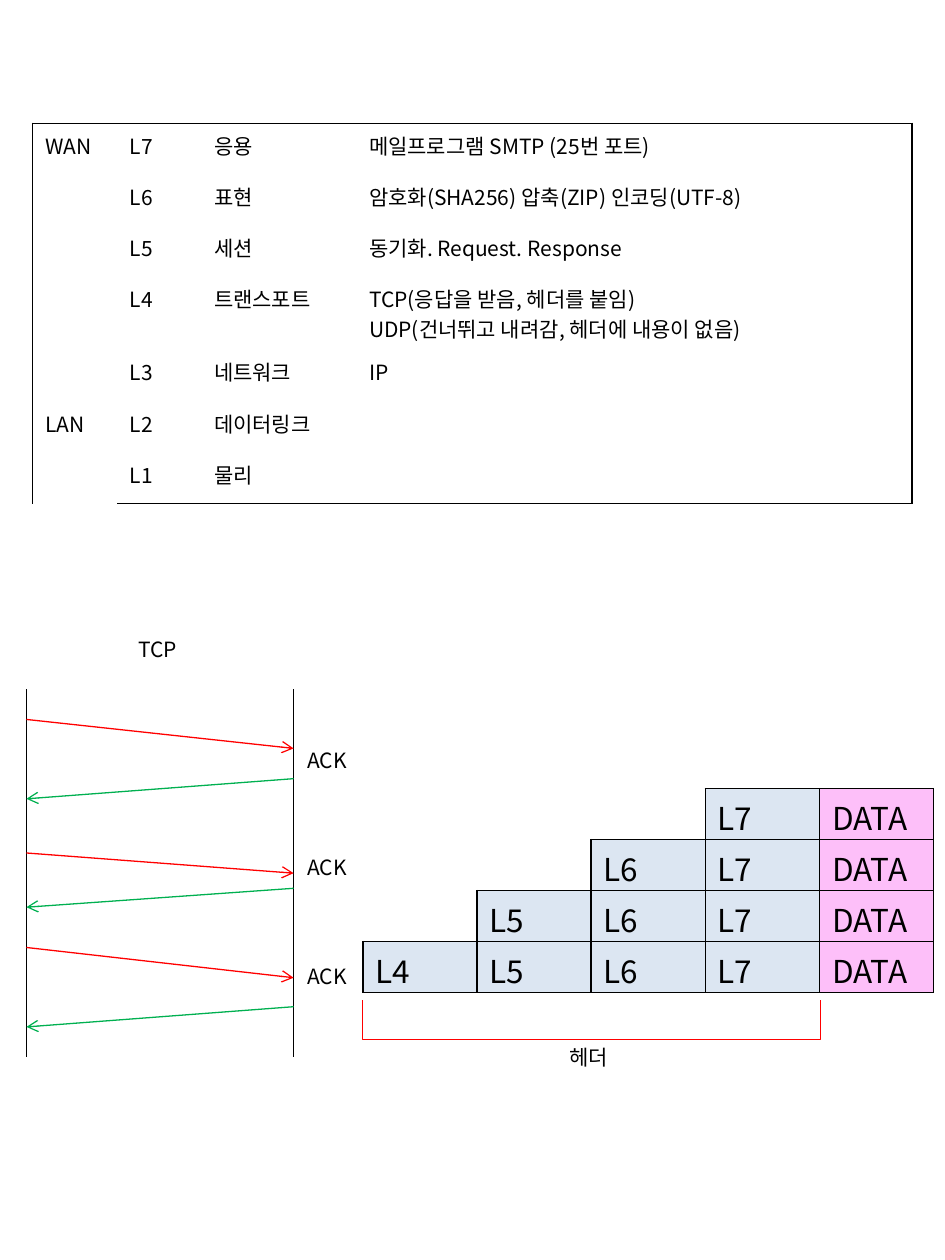
import dataclasses

import lxml.etree
import pptx
import pptx.dml.color
import pptx.enum.shapes
import pptx.enum.text
import pptx.oxml.ns
import pptx.util

Inches, Pt = pptx.util.Inches, pptx.util.Pt
RGB = pptx.dml.color.RGBColor.from_string
qn = pptx.oxml.ns.qn


@dataclasses.dataclass(frozen=True)
class Theme:
    font: str = "Noto Sans CJK KR"
    ink: str = "000000"
    send: str = "FF0000"
    reply: str = "00B050"
    header: str = "DCE6F2"
    data: str = "FDBFF9"
    body: int = 12
    large: int = 18
    line: float = 0.75
    border: float = 1


class SlideBuilder:
    def __init__(self, slide, theme):
        self.s, self.theme = slide, theme

    def set_text(self, tf, text, size):
        tf.text = text
        for p in tf.paragraphs:
            p.font.size = Pt(size)
            p.font.color.rgb = RGB(self.theme.ink)
            p.font.name = self.theme.font
            def_rpr = p._p.pPr.find(qn("a:defRPr"))
            lxml.etree.SubElement(def_rpr, qn("a:ea"), typeface=self.theme.font)
            if not text:  # keeps an empty cell from stretching its row
                lxml.etree.SubElement(p._p, qn("a:endParaRPr"), sz=str(size * 100))

    def label(self, x, y, text):
        sp = self.s.shapes.add_textbox(Inches(x), Inches(y), Inches(0.55), Inches(0.3))
        tf = sp.text_frame
        tf.word_wrap = True
        tf.auto_size = pptx.enum.text.MSO_AUTO_SIZE.SHAPE_TO_FIT_TEXT
        self.set_text(tf, text, self.theme.body)

    def line(self, x1, y1, x2, y2, color, arrow=False):
        cx = self.s.shapes.add_connector(
            pptx.enum.shapes.MSO_CONNECTOR.STRAIGHT,
            Inches(x1), Inches(y1), Inches(x2), Inches(y2))
        cx.line.color.rgb = RGB(color)
        cx.line.width = Pt(self.theme.line)
        sp_pr = cx._element.spPr
        if arrow:
            lxml.etree.SubElement(sp_pr.find(qn("a:ln")), qn("a:tailEnd"), type="arrow")
        lxml.etree.SubElement(sp_pr, qn("a:effectLst"))

    def bracket(self, x, y, width, height, color):
        """Draw a square bracket that opens upwards inside the given box."""
        left, top = x + (width - height) / 2, y + (height - width) / 2
        sp = self.s.shapes.add_shape(
            pptx.enum.shapes.MSO_SHAPE.LEFT_BRACKET,
            Inches(left), Inches(top), Inches(height), Inches(width))
        sp.rotation = 270
        sp.adjustments[0] = 0
        sp.shadow.inherit = False
        sp.fill.background()
        sp.line.color.rgb = RGB(color)
        sp.line.width = Pt(self.theme.line)

    def table(self, x, y, width, height, rows, cols):
        tbl = self.s.shapes.add_table(
            rows, cols, Inches(x), Inches(y), Inches(width), Inches(height)).table
        tbl.first_row = tbl.horz_banding = False
        return tbl

    def cell(self, cell, text, size, sides, fill=None):
        """Fill one cell; sides names its drawn borders, out of L, R, T and B."""
        self.set_text(cell.text_frame, text, size)
        tc_pr = cell._tc.get_or_add_tcPr()
        for side in "LRTB":
            ln = lxml.etree.SubElement(
                tc_pr, qn(f"a:ln{side}"), w=str(Pt(self.theme.border)))
            if side in sides:
                solid = lxml.etree.SubElement(ln, qn("a:solidFill"))
                lxml.etree.SubElement(solid, qn("a:srgbClr"), val=self.theme.ink)
            else:
                lxml.etree.SubElement(ln, qn("a:noFill"))
        if fill:
            cell.fill.solid()
            cell.fill.fore_color.rgb = RGB(fill)
        else:
            cell.fill.background()


LAYERS = [
    ("WAN", "L7", "응용", "메일프로그램 SMTP (25번 포트)"),
    ("", "L6", "표현", "암호화(SHA256) 압축(ZIP) 인코딩(UTF-8)"),
    ("", "L5", "세션", "동기화. Request. Response"),
    ("", "L4", "트랜스포트",
     "TCP(응답을 받음, 헤더를 붙임)\nUDP(건너뛰고 내려감, 헤더에 내용이 없음)"),
    ("", "L3", "네트워크", "IP"),
    ("LAN", "L2", "데이터링크", ""),
    ("", "L1", "물리", ""),
]
STACK = ["L4", "L5", "L6", "L7", "DATA"]
CLIENT_X, SERVER_X = 0.21, 2.33
# start and end heights of each message, then of its reply
EXCHANGES = [(5.71, 5.94, 6.18, 6.34), (6.77, 6.93, 7.05, 7.2), (7.52, 7.76, 7.99, 8.15)]
ACK_TOPS = [5.88, 6.73, 7.6]


def add_layer_table(b):
    last = len(LAYERS) - 1
    tbl = b.table(0.26, 0.98, 6.98, 2.84, len(LAYERS), 4)
    for col, width in zip(tbl.columns, [0.67, 0.67, 1.23, 4.41]):
        col.width = Inches(width)
    for r, row in enumerate(LAYERS):
        for c, text in enumerate(row):
            edges = {"L": c == 0, "R": c == 3, "T": r == 0, "B": r == last}
            sides = [side for side, drawn in edges.items() if drawn]
            b.cell(tbl.cell(r, c), text, b.theme.body, sides)
    for first, end in [(0, 4), (5, last)]:
        tbl.cell(first, 0).merge(tbl.cell(end, 0))


def add_tcp_sequence(b):
    t = b.theme
    b.label(1, 5, "TCP")
    for x in (CLIENT_X, SERVER_X):
        b.line(x, 5.47, x, 8.39, t.ink)
    for (sent, received, replied, returned), top in zip(EXCHANGES, ACK_TOPS):
        b.line(CLIENT_X, sent, SERVER_X, received, t.send, arrow=True)
        b.line(SERVER_X, replied, CLIENT_X, returned, t.reply, arrow=True)
        b.label(2.34, top, "ACK")


def add_header_stack(b):
    t = b.theme
    tbl = b.table(2.88, 6.26, 4.53, 1.62, 4, len(STACK))
    for r in range(4):
        start = 3 - r
        for c, name in enumerate(STACK):
            cell = tbl.cell(r, c)
            cell.margin_top, cell.margin_bottom = Inches(0.04), 0
            if c >= start:
                fill = t.data if name == "DATA" else t.header
                b.cell(cell, name, t.large, "LRTB", fill)
            else:
                b.cell(cell, "", t.large, "RB" if c == start - 1 else "")
    b.bracket(2.88, 7.94, 3.63, 0.31, t.send)
    b.label(4.42, 8.24, "헤더")


def main():
    prs = pptx.Presentation()
    prs.slide_width, prs.slide_height = Inches(7.5), Inches(10)
    b = SlideBuilder(prs.slides.add_slide(prs.slide_layouts[6]), Theme())
    add_layer_table(b)
    add_tcp_sequence(b)
    add_header_stack(b)
    prs.save("out.pptx")


if __name__ == "__main__":
    main()
